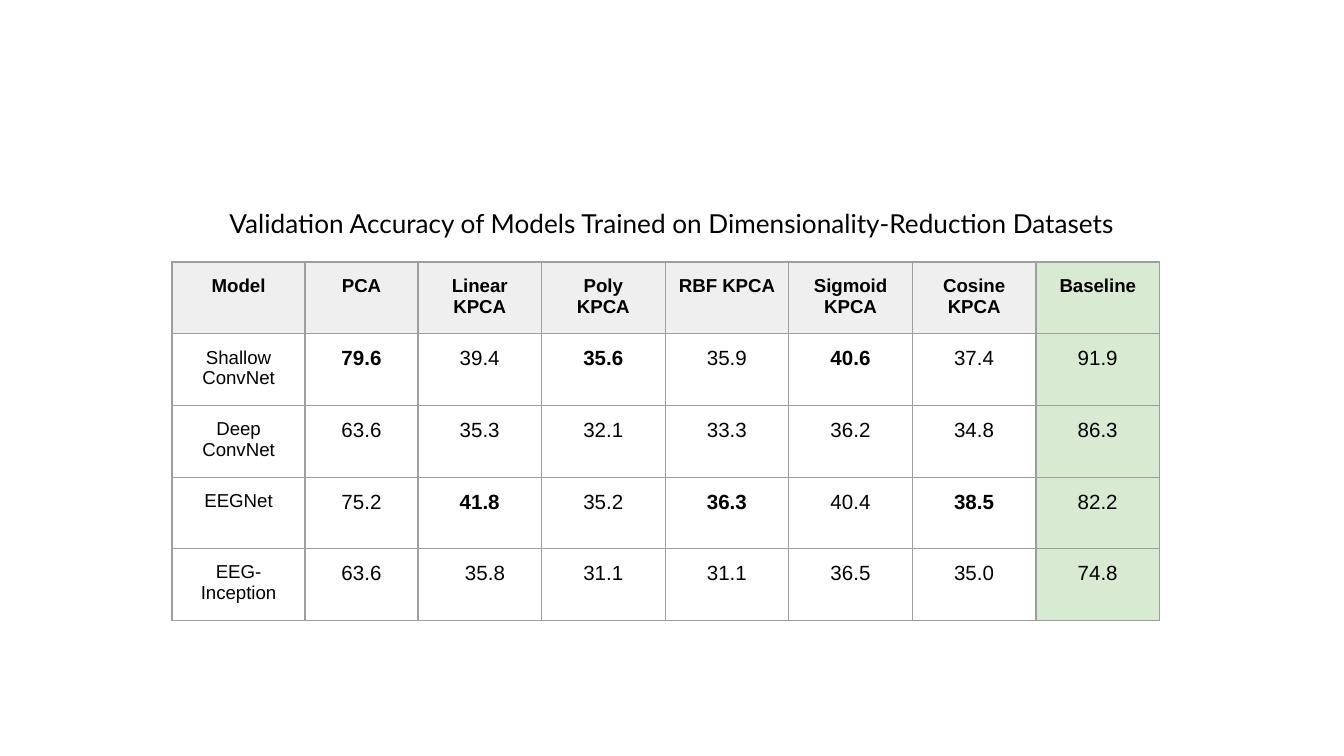
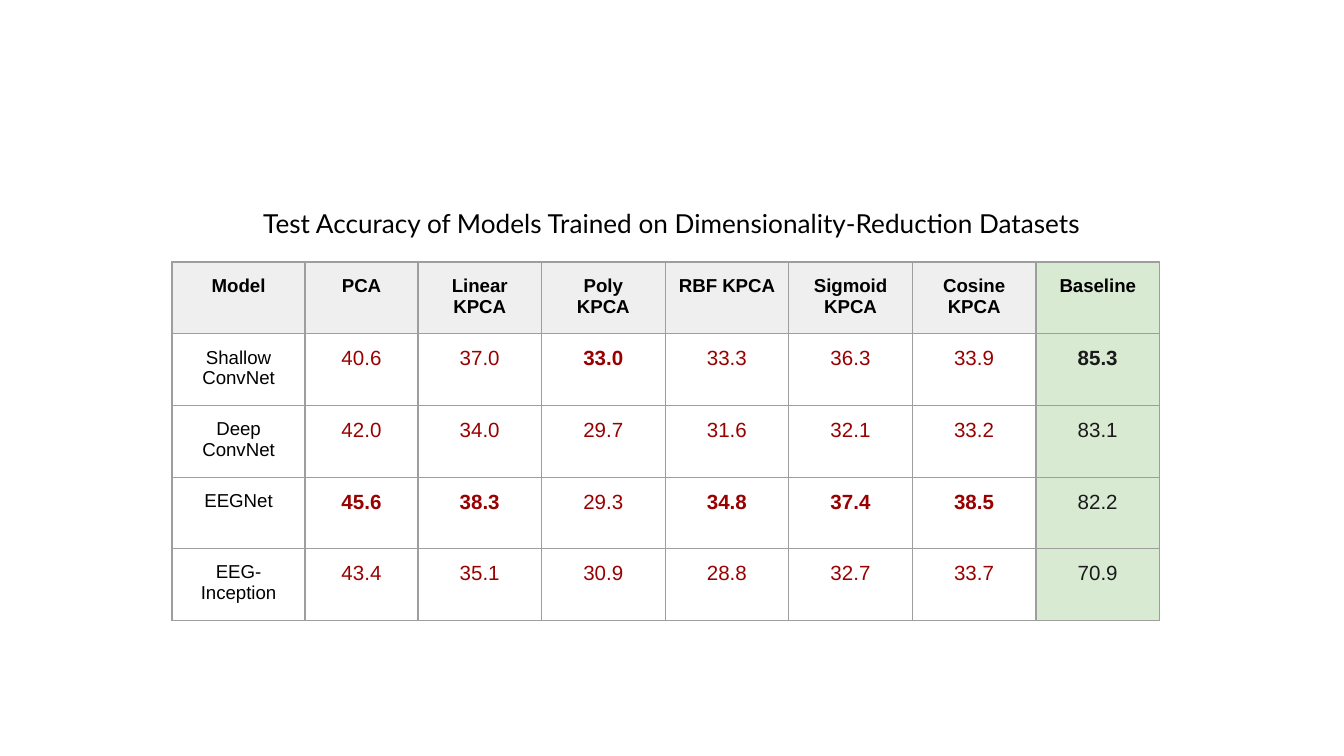
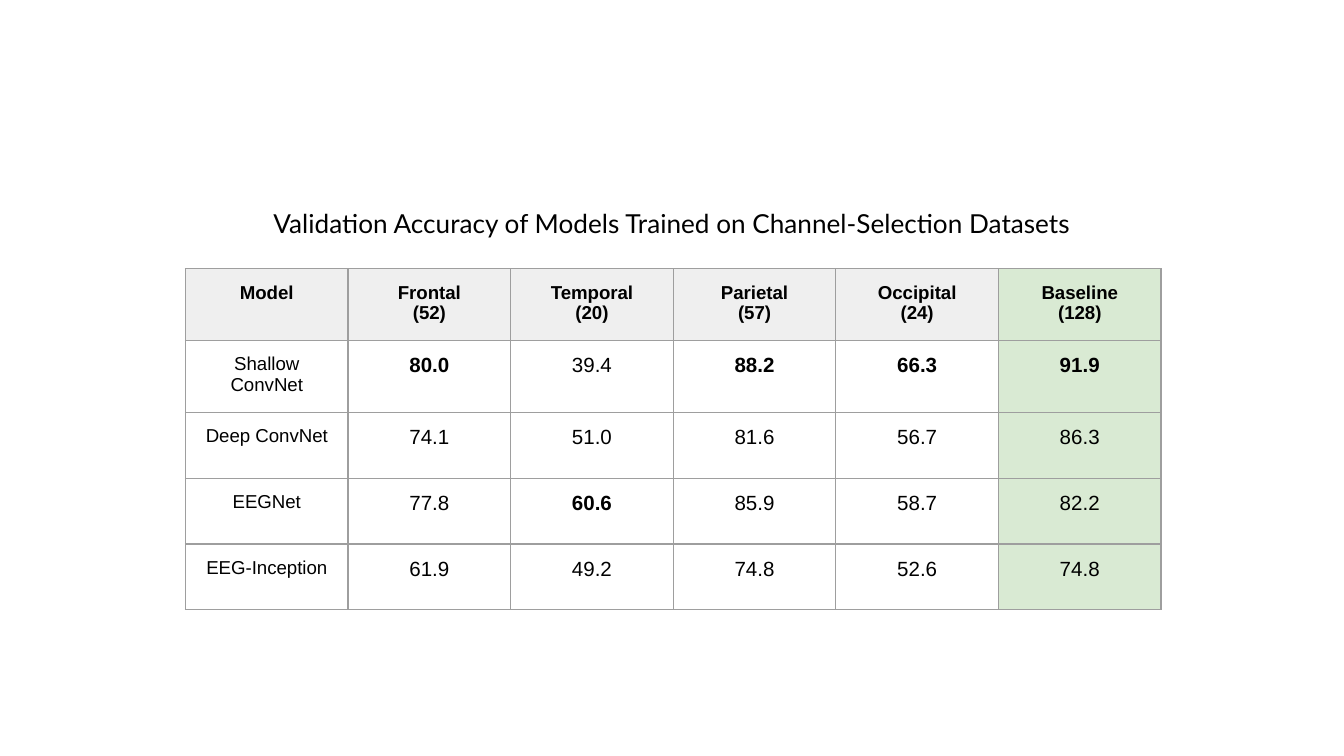
"""Build three slides that compare model accuracy in tables."""
from pptx import Presentation
from pptx.dml.color import RGBColor
from pptx.enum.text import MSO_ANCHOR as Anchor, MSO_AUTO_SIZE as Size, PP_ALIGN as Align
from pptx.oxml import parse_xml
from pptx.oxml.ns import nsdecls
from pptx.util import Inches, Pt

BLACK, DARK, RED = "000000", "1A1A1A", "990000"
GREY, GREEN, EDGE = "EFEFEF", "D9EAD3", "9E9E9E"
BOLD, INDENT = "*", ">"

MODELS = ["Shallow ConvNet", "Deep ConvNet", "EEGNet", "EEG-Inception"]
KERNELS = ["Model", "PCA", "Linear KPCA", "Poly KPCA", "RBF KPCA",
           "Sigmoid KPCA", "Cosine KPCA", "Baseline"]
LOBES = ["Model", "Frontal\n(52)", "Temporal\n(20)", "Parietal\n(57)",
         "Occipital\n(24)", "Baseline\n(128)"]
WIDE = {"heads": KERNELS, "at": (1.28, 1.95), "cols": [0.99, 0.84] + [0.92] * 6, "row": 0.53}
EVEN = {"heads": LOBES, "at": (1.38, 2), "cols": [1.21] * 6, "row": 0.49}

SLIDES = [
    {"title": "Validation Accuracy of Models Trained on Dimensionality-Reduction Datasets",
     "grid": WIDE, "inks": (BLACK, BLACK),
     "rows": ["*79.6 39.4 *35.6 35.9 *40.6 37.4 91.9",
              "63.6 35.3 32.1 33.3 36.2 34.8 86.3",
              "75.2 *41.8 35.2 *36.3 40.4 *38.5 82.2",
              "63.6 >35.8 31.1 31.1 36.5 35.0 74.8"]},
    {"title": "Test Accuracy of Models Trained on Dimensionality-Reduction Datasets",
     "grid": WIDE, "inks": (RED, DARK),
     "rows": ["40.6 37.0 *33.0 33.3 36.3 33.9 *85.3",
              "42.0 34.0 29.7 31.6 32.1 33.2 83.1",
              "*45.6 *38.3 29.3 *34.8 *37.4 *38.5 82.2",
              "43.4 35.1 30.9 28.8 32.7 33.7 70.9"]},
    {"title": "Validation Accuracy of Models Trained on Channel-Selection Datasets",
     "grid": EVEN, "inks": (BLACK, BLACK),
     "rows": ["*80.0 39.4 *88.2 *66.3 *91.9",
              "74.1 51.0 81.6 56.7 86.3",
              "77.8 *60.6 85.9 58.7 82.2",
              "61.9 49.2 74.8 52.6 74.8"]},
]


def rgb(code):
    return RGBColor.from_string(code)


def pad(part):
    part.margin_left = part.margin_right = Inches(0.1)
    part.margin_top = part.margin_bottom = Inches(0.1)


def write(para, text, size, font="Arial", ink=BLACK, bold=False):
    para.alignment = Align.CENTER
    run = para.add_run()
    run.text = text
    run.font.size, run.font.name, run.font.bold = Pt(size), font, bold
    run.font.color.rgb = rgb(ink)


def add_title(slide, text):
    box = slide.shapes.title
    box.left, box.top = Inches(1.28), Inches(1.44)
    box.width, box.height = Inches(7.44), Inches(0.44)
    frame = box.text_frame
    pad(frame)
    frame.word_wrap, frame.auto_size = True, Size.SHAPE_TO_FIT_TEXT
    frame.vertical_anchor = Anchor.TOP
    write(frame.paragraphs[0], text, 14, "Lato")


def style(cell, fill):
    pad(cell)
    props = cell._tc.get_or_add_tcPr()
    for side in "LRTB":
        props.append(parse_xml(
            f'<a:ln{side} {nsdecls("a")} w="{Pt(0.75)}"><a:solidFill>'
            f'<a:srgbClr val="{EDGE}"/></a:solidFill></a:ln{side}>'))
    if fill:
        cell.fill.solid()
        cell.fill.fore_color.rgb = rgb(fill)
    else:
        cell.fill.background()


def fill_cell(cell, text, **look):
    frame = cell.text_frame
    for i, line in enumerate(text.strip(BOLD + INDENT).split("\n")):
        para = frame.add_paragraph() if i else frame.paragraphs[0]
        write(para, line, **look)
        if text.startswith(INDENT):
            para.alignment = Align.LEFT
            para._p.get_or_add_pPr().set("marL", str(Inches(0.25)))


def add_grid(slide, grid, rows, inks):
    cols, row = grid["cols"], grid["row"]
    data = [grid["heads"]] + [[name] + nums.split() for name, nums in zip(MODELS, rows)]
    left, top = grid["at"]
    table = slide.shapes.add_table(
        len(data), len(cols), Inches(left), Inches(top),
        Inches(sum(cols)), Inches(row * len(data))).table
    table.first_row = table.horz_banding = False
    for col, width in zip(table.columns, cols):
        col.width = Inches(width)
    last = len(cols) - 1
    for r, line in enumerate(data):
        table.rows[r].height = Inches(row)
        for c, text in enumerate(line):
            cell, label = table.cell(r, c), r == 0 or c == 0
            style(cell, GREEN if c == last else GREY if r == 0 else None)
            fill_cell(cell, text, size=10 if label else 11,
                      ink=BLACK if label else inks[c == last],
                      bold=r == 0 or text.startswith(BOLD))


def main():
    deck = Presentation()
    deck.slide_width = Inches(10)
    deck.slide_height = deck.slide_width * 9 // 16
    for item in SLIDES:
        slide = deck.slides.add_slide(deck.slide_layouts[5])
        add_title(slide, item["title"])
        add_grid(slide, item["grid"], item["rows"], item["inks"])
    deck.save("out.pptx")


if __name__ == "__main__":
    main()
